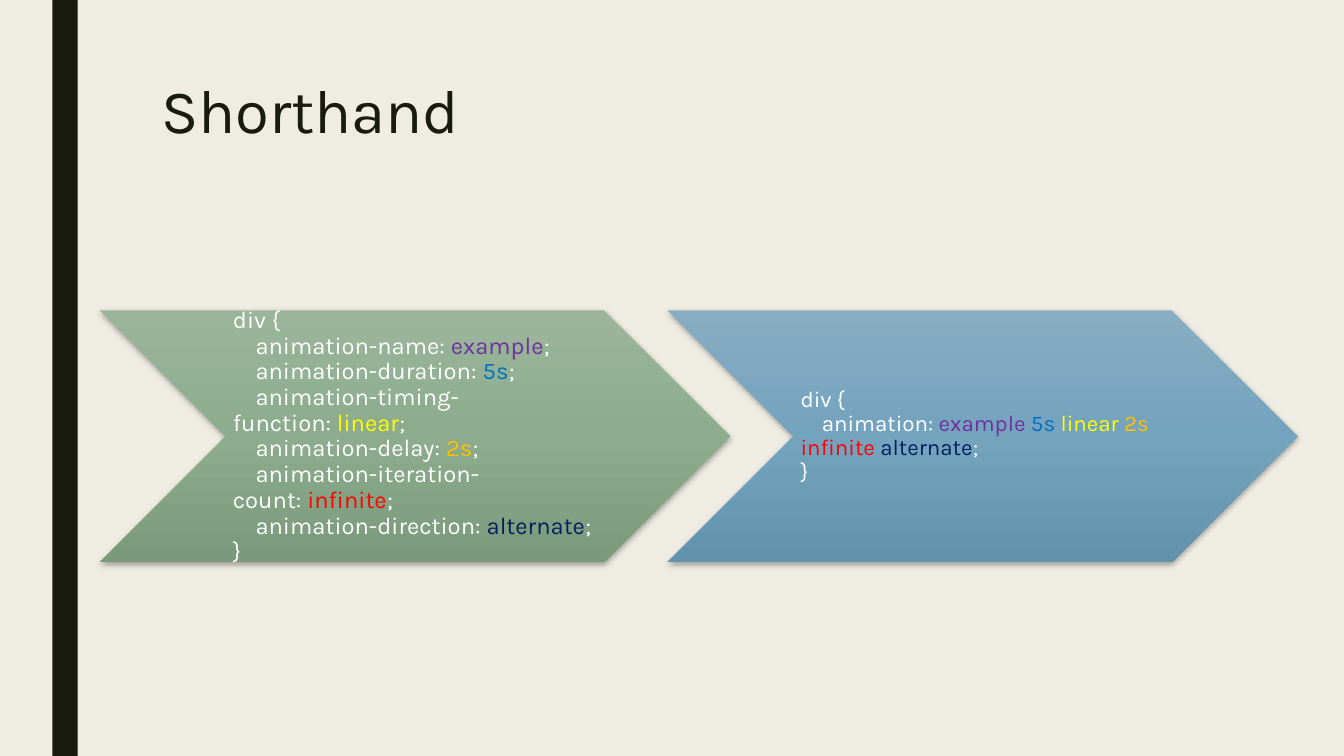
"""Build the Shorthand slide comparing long and short CSS animation rules."""
import copy

import pptx
import pptx.dml.color
import pptx.enum.shapes
import pptx.enum.text
import pptx.oxml
import pptx.oxml.ns
import pptx.util
from pptx.util import Inches, Pt

FONT = "Karla"
DARK, WHITE = "191B0E", "FFFFFF"
INDENT = "\u00a0\u00a0\u00a0 "
VALUES = [
    ("name", "example", "7030A0"),
    ("duration", "5s", "0070C0"),
    ("timing-function", "linear", "FFFF00"),
    ("delay", "2s", "FFC000"),
    ("iteration-count", "infinite", "FF0000"),
    ("direction", "alternate", "002060"),
]
OPENING, CLOSING = [("div\u00a0{", WHITE)], [("}", WHITE)]
LONG_RULES = [
    [(f"{INDENT}animation-{name}:\u00a0", WHITE), (value, color), (";", WHITE)]
    for name, value, color in VALUES
]
SHORT_VALUES = [(value + " ", color) for _, value, color in VALUES[:-1]]
SHORT_RULE = [(f"{INDENT}animation:\u00a0", WHITE), *SHORT_VALUES, VALUES[-1][1:], (";", WHITE)]
CHEVRONS = [
    (17, ("9BB59B", "8CAC8D", "7A9B7B"), [OPENING, *LONG_RULES, CLOSING]),
    (16, ("88ADC3", "74A3BE", "6392AD"), [OPENING, SHORT_RULE, CLOSING]),
]
LEFT, TOP, WIDTH, HEIGHT, STEP = 0.99, 3.08, 6.25, 2.5, 5.63
SHADOW = (
    f'<a:effectLst {pptx.oxml.ns.nsdecls("a")}>'
    f'<a:outerShdw blurRad="{Pt(4.5)}" dist="{Pt(1.5)}" dir="5400000" algn="ctr" rotWithShape="0">'
    '<a:srgbClr val="000000"><a:alpha val="35000"/></a:srgbClr></a:outerShdw></a:effectLst>'
)


def rgb(value):
    return pptx.dml.color.RGBColor.from_string(value)


def format_run(run, size, color):
    run.font.name = FONT
    run.font.size = Pt(size)
    run.font.color.rgb = rgb(color)


def add_chevron(slide, left, colors):
    shape = slide.shapes.add_shape(
        pptx.enum.shapes.MSO_SHAPE.CHEVRON, Inches(left), Inches(TOP), Inches(WIDTH), Inches(HEIGHT))
    shape.line.fill.background()
    shape.fill.gradient()
    shape.fill.gradient_angle = 270
    stop_list = shape._element.spPr.find(".//" + pptx.oxml.ns.qn("a:gsLst"))
    stop_list.append(copy.deepcopy(stop_list[0]))
    for stop, position, color in zip(shape.fill.gradient_stops, (0, 0.5, 1), colors):
        stop.position = position
        stop.color.rgb = rgb(color)
    shape._element.spPr.append(pptx.oxml.parse_xml(SHADOW))


def add_code(slide, left, size, lines):
    box = slide.shapes.add_textbox(
        Inches(left + HEIGHT / 2), Inches(TOP), Inches(WIDTH - HEIGHT), Inches(HEIGHT))
    frame = box.text_frame
    frame.word_wrap = True
    frame.vertical_anchor = pptx.enum.text.MSO_ANCHOR.MIDDLE
    frame.margin_left = Inches(0.07)
    frame.margin_top = frame.margin_right = frame.margin_bottom = Inches(0.02)
    paragraph = frame.paragraphs[0]
    paragraph.line_spacing = 0.9
    for index, line in enumerate(lines):
        if index:
            paragraph.add_line_break()
        for text, color in line:
            run = paragraph.add_run()
            run.text = text
            format_run(run, size, color)
    properties = paragraph.runs[0]._r.rPr
    for line_break in paragraph._p.findall(pptx.oxml.ns.qn("a:br")):
        line_break.append(copy.deepcopy(properties))


presentation = pptx.Presentation()
presentation.slide_width, presentation.slide_height = Inches(13.33), Inches(7.5)
slide = presentation.slides.add_slide(presentation.slide_layouts[5])
slide.background.fill.solid()
slide.background.fill.fore_color.rgb = rgb("EFEDE3")

bar = slide.shapes.add_shape(
    pptx.enum.shapes.MSO_SHAPE.RECTANGLE, Inches(0.52), 0, Inches(0.25), Inches(7.5))
bar.shadow.inherit = False
bar.fill.solid()
bar.fill.fore_color.rgb = rgb(DARK)
bar.line.fill.background()

title = slide.shapes.title
title.left, title.top, title.width, title.height = map(Inches, (1.5, 0.75, 10.5, 1.62))
title.text_frame.text = "Shorthand"
title.text_frame.auto_size = pptx.enum.text.MSO_AUTO_SIZE.NONE
title.text_frame.vertical_anchor = pptx.enum.text.MSO_ANCHOR.TOP
heading = title.text_frame.paragraphs[0]
heading.alignment = pptx.enum.text.PP_ALIGN.LEFT
heading.line_spacing = 0.89
format_run(heading.runs[0], 44, DARK)

for index, (size, colors, lines) in enumerate(CHEVRONS):
    left = LEFT + index * STEP
    add_chevron(slide, left, colors)
    add_code(slide, left, size, lines)

presentation.save("out.pptx")
